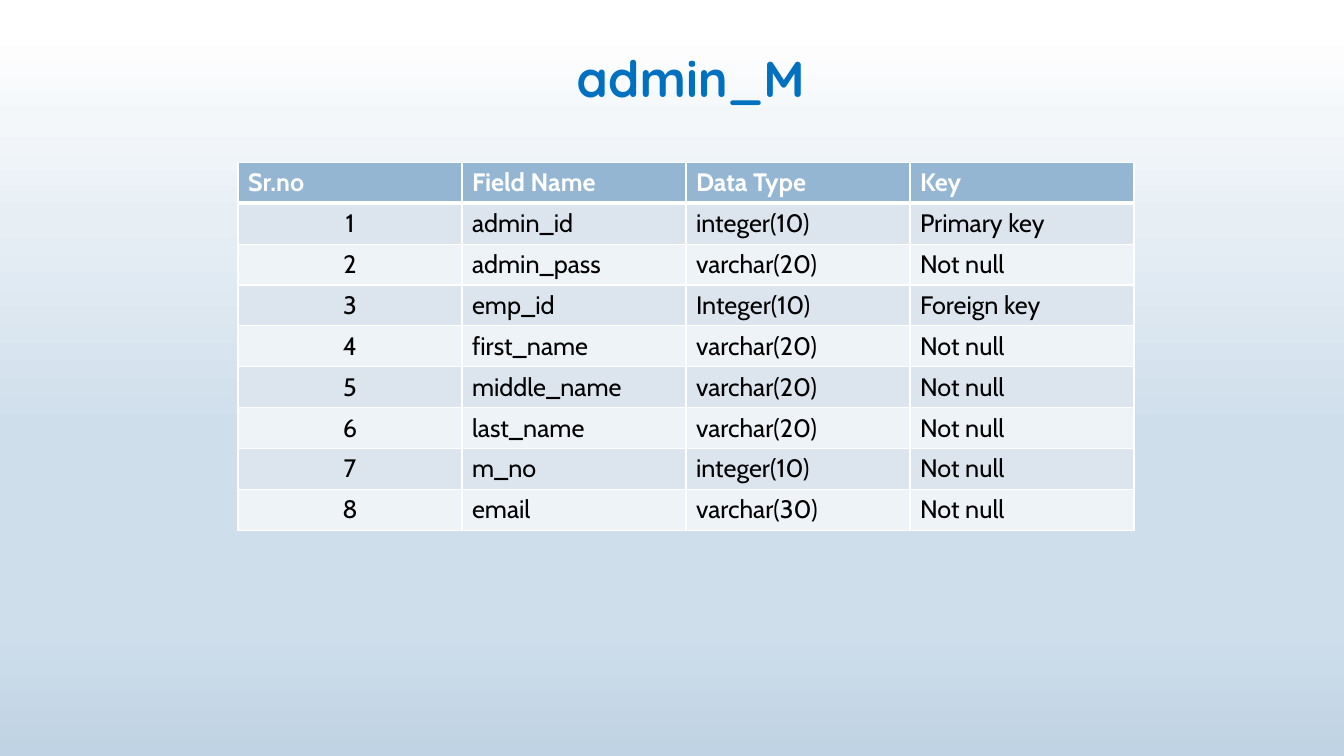
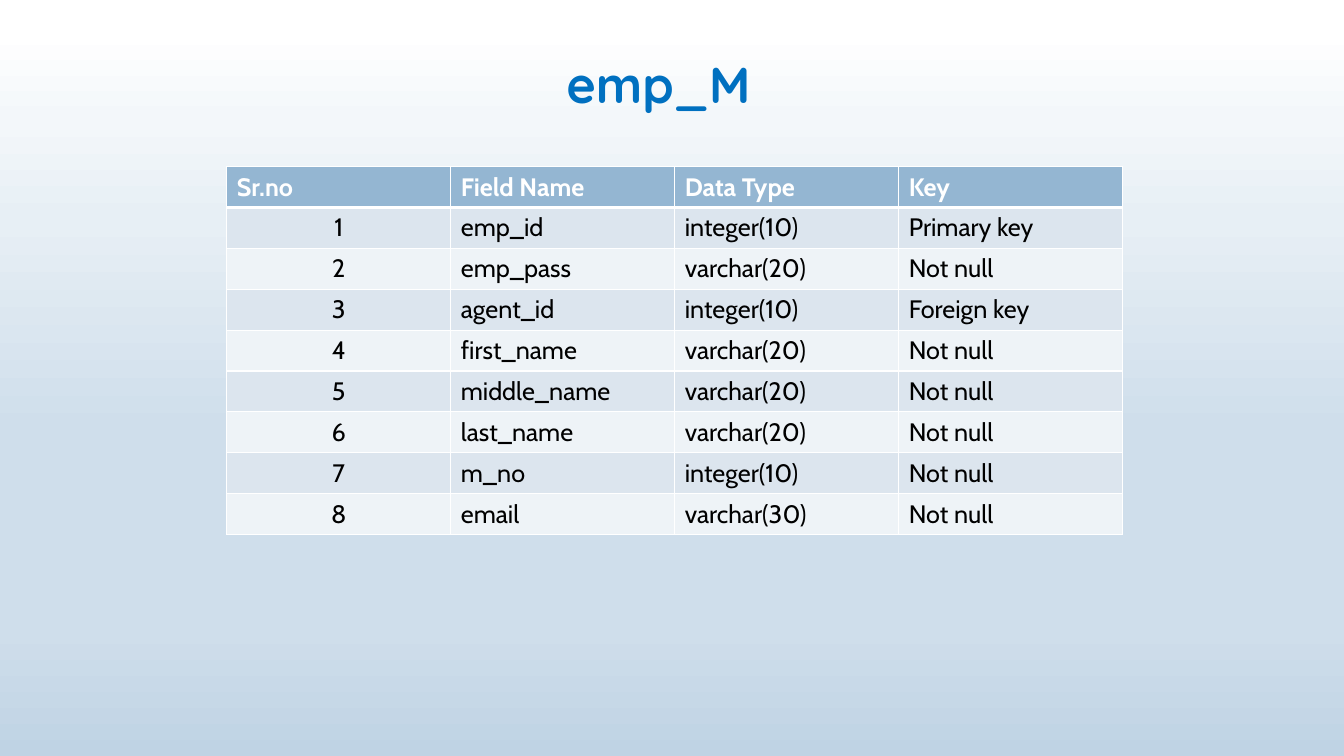
from dataclasses import dataclass
from typing import Any

from lxml.etree import SubElement
from pptx import Presentation
from pptx.dml.color import RGBColor
from pptx.enum.text import MSO_ANCHOR, PP_ALIGN
from pptx.oxml.ns import qn
from pptx.util import Pt

# Shared look
WHITE, BLACK, TITLE_BLUE, HEADER_BLUE = "FFFFFF", "000000", "0070C0", "94B6D2"
BAND_FILLS = ("DCE5EE", "EEF3F7")
BACKGROUND_STOPS = (
    (4, "FFFFFF"), (16, "F3F7FA"), (29, "E7EFF5"),
    (57, "CFDEEB"), (83, "CFDEEB"), (100, "BFD3E4"),
)
TITLE_FORMAT = {"name": "Quicksand", "size": Pt(36), "bold": True}
HEADER_FORMAT = {"name": "Cabin", "size": Pt(18), "bold": True}
BODY_FORMAT = HEADER_FORMAT | {"bold": False}

TITLE_WIDTH, TITLE_HEIGHT = 480, 51
COLUMN_WIDTH, ROW_HEIGHT = 160, 29.2
THIN, THICK = 1, 3

# Table contents
HEADINGS = ("Sr.no", "Field Name", "Data Type", "Key")
CONTACT_FIELDS = (
    ("first_name", "varchar(20)", "Not null"),
    ("middle_name", "varchar(20)", "Not null"),
    ("last_name", "varchar(20)", "Not null"),
    ("m_no", "integer(10)", "Not null"),
    ("email", "varchar(30)", "Not null"),
)


@dataclass(frozen=True)
class SchemaSlide:
    title: str
    title_position: tuple[float, float]
    table_position: tuple[float, float]
    fields: tuple[tuple[str, str, str], ...]


SCHEMA_SLIDES = (
    SchemaSlide("admin_M", (253.4, 30.2), (170, 116), (
        ("admin_id", "integer(10)", "Primary key"),
        ("admin_pass", "varchar(20)", "Not null"),
        ("emp_id", "Integer(10)", "Foreign key"),
        *CONTACT_FIELDS,
    )),
    SchemaSlide("emp_M", (230.4, 34), (162, 119), (
        ("emp_id", "integer(10)", "Primary key"),
        ("emp_pass", "varchar(20)", "Not null"),
        ("agent_id", "integer(10)", "Foreign key"),
        *CONTACT_FIELDS,
    )),
)


def set_color(color_format: Any, color: str) -> None:
    color_format.rgb = RGBColor.from_string(color)


def format_paragraph(paragraph: Any, text: str, values: dict[str, Any],
                     color: str, alignment: PP_ALIGN) -> None:
    paragraph.alignment = alignment
    run = paragraph.add_run()
    run.text = text
    for attribute, value in values.items():
        setattr(run.font, attribute, value)
    set_color(run.font.color, color)


def set_background(master: Any) -> None:
    fill = master.background.fill
    fill.gradient()
    fill.gradient_angle = 270  # measured counter-clockwise: top to bottom
    stop_list = master.element.find(".//" + qn("a:gsLst"))
    for stop in list(stop_list):
        stop_list.remove(stop)
    for percent, color in BACKGROUND_STOPS:
        stop = SubElement(stop_list, qn("a:gs"), pos=str(percent * 1000))
        SubElement(stop, qn("a:srgbClr"), val=color)


def set_borders(cell: Any, top: int, bottom: int) -> None:
    properties = cell._tc.get_or_add_tcPr()
    widths = {"a:lnL": THIN, "a:lnR": THIN, "a:lnT": top, "a:lnB": bottom}
    for index, (side, width) in enumerate(widths.items()):
        line = SubElement(properties, qn(side), w=str(Pt(width)))
        fill = SubElement(line, qn("a:solidFill"))
        SubElement(fill, qn("a:srgbClr"), val=WHITE)
        properties.insert(index, line)  # borders precede the cell fill


def add_title(slide: Any, schema: SchemaSlide) -> None:
    title = slide.shapes.title
    title.left, title.top = (Pt(value) for value in schema.title_position)
    title.width, title.height = Pt(TITLE_WIDTH), Pt(TITLE_HEIGHT)
    title.text_frame.vertical_anchor = MSO_ANCHOR.TOP
    format_paragraph(title.text_frame.paragraphs[0], schema.title,
                     TITLE_FORMAT, TITLE_BLUE, PP_ALIGN.CENTER)


def add_schema_table(slide: Any, schema: SchemaSlide) -> None:
    rows = [HEADINGS] + [
        (str(number), *field) for number, field in enumerate(schema.fields, 1)
    ]
    left, top = schema.table_position
    table = slide.shapes.add_table(
        len(rows), len(HEADINGS), Pt(left), Pt(top),
        Pt(COLUMN_WIDTH * len(HEADINGS)), Pt(ROW_HEIGHT * len(rows)),
    ).table
    for row_index, texts in enumerate(rows):
        table.rows[row_index].height = Pt(ROW_HEIGHT)
        is_header = row_index == 0
        fill_color = HEADER_BLUE if is_header else BAND_FILLS[(row_index - 1) % 2]
        for column_index, text in enumerate(texts):
            cell = table.cell(row_index, column_index)
            cell.fill.solid()
            set_color(cell.fill.fore_color, fill_color)
            set_borders(cell, THICK if row_index == 1 else THIN,
                        THICK if is_header else THIN)
            is_number = column_index == 0 and not is_header
            format_paragraph(
                cell.text_frame.paragraphs[0], text,
                HEADER_FORMAT if is_header else BODY_FORMAT,
                WHITE if is_header else BLACK,
                PP_ALIGN.CENTER if is_number else PP_ALIGN.LEFT,
            )


def main() -> None:
    presentation = Presentation()
    presentation.slide_width, presentation.slide_height = Pt(960), Pt(540)
    set_background(presentation.slide_master)
    title_only = presentation.slide_layouts.get_by_name("Title Only")
    for schema in SCHEMA_SLIDES:
        slide = presentation.slides.add_slide(title_only)
        add_title(slide, schema)
        add_schema_table(slide, schema)
    presentation.save("out.pptx")


if __name__ == "__main__":
    main()
